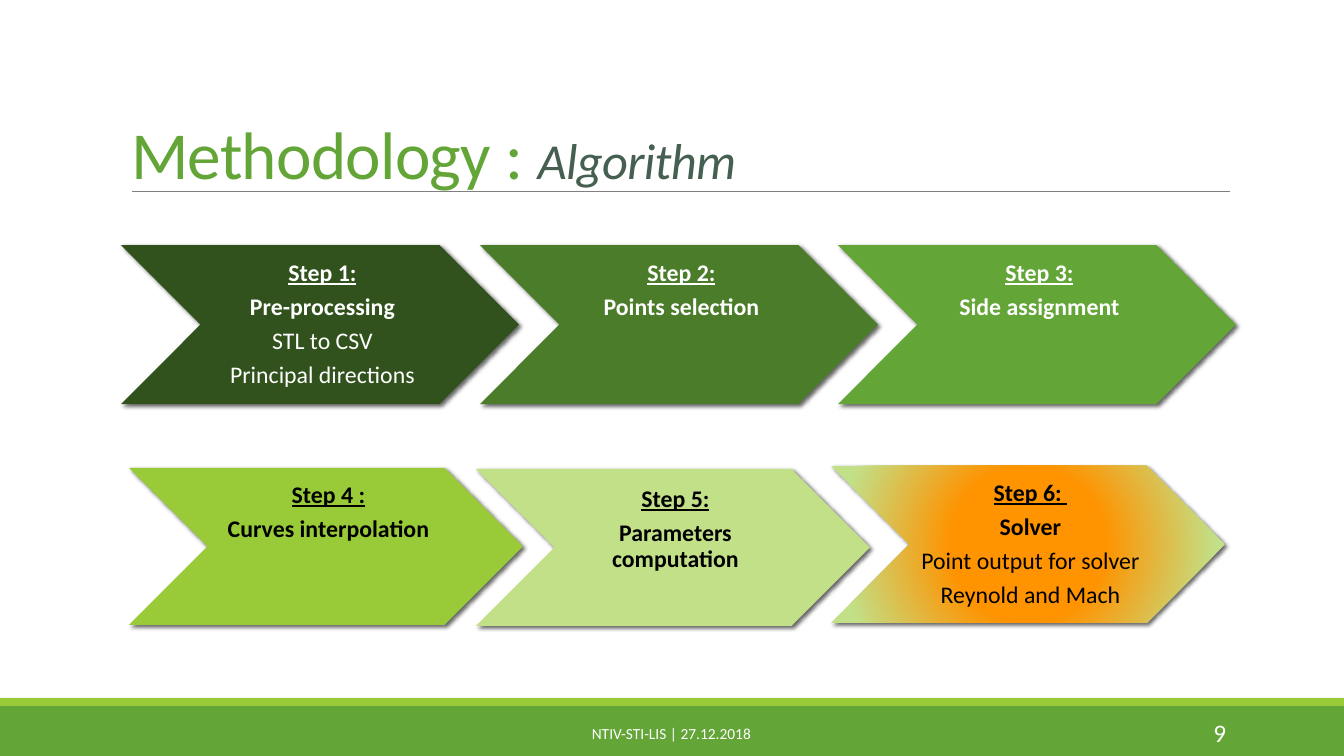
from lxml import etree
from pptx import Presentation, util as u
from pptx.dml.color import RGBColor
from pptx.enum import shapes, text
from pptx.oxml import parse_xml
from pptx.oxml.ns import nsdecls, qn


class Theme:
    font = "Calibri"
    green, lime, pale, orange = "63A537", "99CB38", "C2E088", "FF9300"
    forest, moss, slate = "31521C", "4A7C29", "455F51"
    rule, white, black = "808080", "FFFFFF", "000000"
    title, subtitle, number, step, footer = 48, 36, 18, 17, 11


SLIDE = (1344, 756)
TITLE = [("Methodology : ", Theme.title, Theme.green, False),
         ("Algorithm", Theme.subtitle, Theme.slate, True)]
TITLE_AREA = (121, -18, 1115, 216)
RULE = (132, 191, 1230, 191)
BARS = [((0, 706, 1344, 50), Theme.green), ((0, 698, 1344, 8), Theme.lime)]
FOOTERS = [
    ("NTIV-STI-LIS | 27.12.2018", (406, 713, 531, 40), Theme.footer, text.PP_ALIGN.CENTER),
    ("9", (1092, 712, 144, 40), Theme.number, text.PP_ALIGN.RIGHT),
]
ROWS = [
    ((398, 159), Theme.white, [
        ((121, 245), 16, Theme.forest,
         ["Step 1:", "Pre-processing", "STL to CSV", "Principal directions"]),
        ((480, 245), 16, Theme.moss, ["Step 2:", "Points selection"]),
        ((838, 245), 16, Theme.green, ["Step 3:", "Side assignment"]),
    ]),
    ((394, 157), Theme.black, [
        ((129, 468), 15, Theme.lime, ["Step 4 :", "Curves interpolation"]),
        ((476, 469), 18, Theme.pale, ["Step 5:", "Parameters computation"]),
        ((831, 466), 15, (Theme.orange, Theme.pale),
         ["Step 6: ", "Solver", "Point output for solver", "Reynold and Mach"]),
    ]),
]


def px(length):
    return u.Emu(round(length * 914400 / 100.8))


def place(area):
    return [px(length) for length in area]


def style(font, size, color):
    font.name = Theme.font
    font.size = u.Pt(size)
    font.color.rgb = RGBColor.from_string(color)


def add_filled(page, preset, area, color):
    shape = page.shapes.add_shape(preset, *place(area))
    shape.shadow.inherit = False
    shape.line.fill.background()
    shape.fill.solid()
    shape.fill.fore_color.rgb = RGBColor.from_string(color)
    return shape


def add_shadow(shape):
    effects = shape._element.spPr.find(qn("a:effectLst"))
    effects.append(parse_xml(
        f'<a:outerShdw {nsdecls("a")} blurRad="38100" dist="25400" dir="2700000" rotWithShape="0">'
        f'<a:srgbClr val="{Theme.black}"><a:alpha val="60000"/></a:srgbClr></a:outerShdw>'))


def set_radial_fill(shape, center, edge):
    solid = shape._element.spPr.find(qn("a:solidFill"))
    stops = "".join(
        f'<a:gs pos="{position}000"><a:srgbClr val="{color}"/></a:gs>'
        for position, color in [(36, center), (89, edge), (100, edge)])
    gradient = parse_xml(
        f'<a:gradFill {nsdecls("a")} rotWithShape="1"><a:gsLst>{stops}</a:gsLst><a:path path="circle">'
        '<a:fillToRect l="50000" t="50000" r="50000" b="50000"/></a:path></a:gradFill>')
    solid.getparent().replace(solid, gradient)


def add_step(page, size, ink, corner, drop, fill, lines):
    center, edge = fill if isinstance(fill, tuple) else (fill, None)
    chevron = add_filled(page, shapes.MSO_SHAPE.CHEVRON, corner + size, center)
    if edge:
        set_radial_fill(chevron, center, edge)
    add_shadow(chevron)
    frame = chevron.text_frame
    frame.word_wrap = True
    frame.vertical_anchor = text.MSO_ANCHOR.TOP
    frame.margin_left, frame.margin_top, frame.margin_right, frame.margin_bottom = place((7, drop, 2, 2))
    for index, line in enumerate(lines):
        para = frame.add_paragraph() if index else frame.paragraphs[0]
        para.text = line
        para.alignment = text.PP_ALIGN.CENTER
        para.line_spacing = 0.9
        para.space_after = u.Pt(6)
        style(para.font, Theme.step, ink)
        para.font.bold = index < 2
        para.font.underline = index == 0


def add_title(page):
    title = page.shapes.title
    title.left, title.top, title.width, title.height = place(TITLE_AREA)
    frame = title.text_frame
    frame.word_wrap = True
    frame.auto_size = text.MSO_AUTO_SIZE.NONE
    frame.vertical_anchor = text.MSO_ANCHOR.BOTTOM
    para = frame.paragraphs[0]
    para.alignment = text.PP_ALIGN.LEFT
    para.line_spacing = 0.85
    for words, size, color, italic in TITLE:
        span = para.add_run()
        span.text = words
        style(span.font, size, color)
        span.font.italic = italic
        span._r.get_or_add_rPr().set("spc", "-50")


def add_rule(page):
    rule = page.shapes.add_connector(shapes.MSO_CONNECTOR.STRAIGHT, *place(RULE))
    rule.line.width = u.Pt(0.5)
    rule.line.color.rgb = RGBColor.from_string(Theme.rule)
    etree.SubElement(rule._element.spPr, qn("a:effectLst"))


def add_footer(page, words, area, size, alignment):
    box = page.shapes.add_textbox(*place(area))
    frame = box.text_frame
    frame.word_wrap = True
    frame.vertical_anchor = text.MSO_ANCHOR.MIDDLE
    para = frame.paragraphs[0]
    para.text = words
    para.alignment = alignment
    style(para.font, size, Theme.white)


def main():
    deck = Presentation()
    deck.slide_width, deck.slide_height = place(SLIDE)
    page = deck.slides.add_slide(deck.slide_layouts[5])
    for area, color in BARS:
        add_filled(page, shapes.MSO_SHAPE.RECTANGLE, area, color)
    add_rule(page)
    add_title(page)
    for size, ink, steps in ROWS:
        for step in steps:
            add_step(page, size, ink, *step)
    for footer in FOOTERS:
        add_footer(page, *footer)
    deck.save("out.pptx")


if __name__ == "__main__":
    main()
